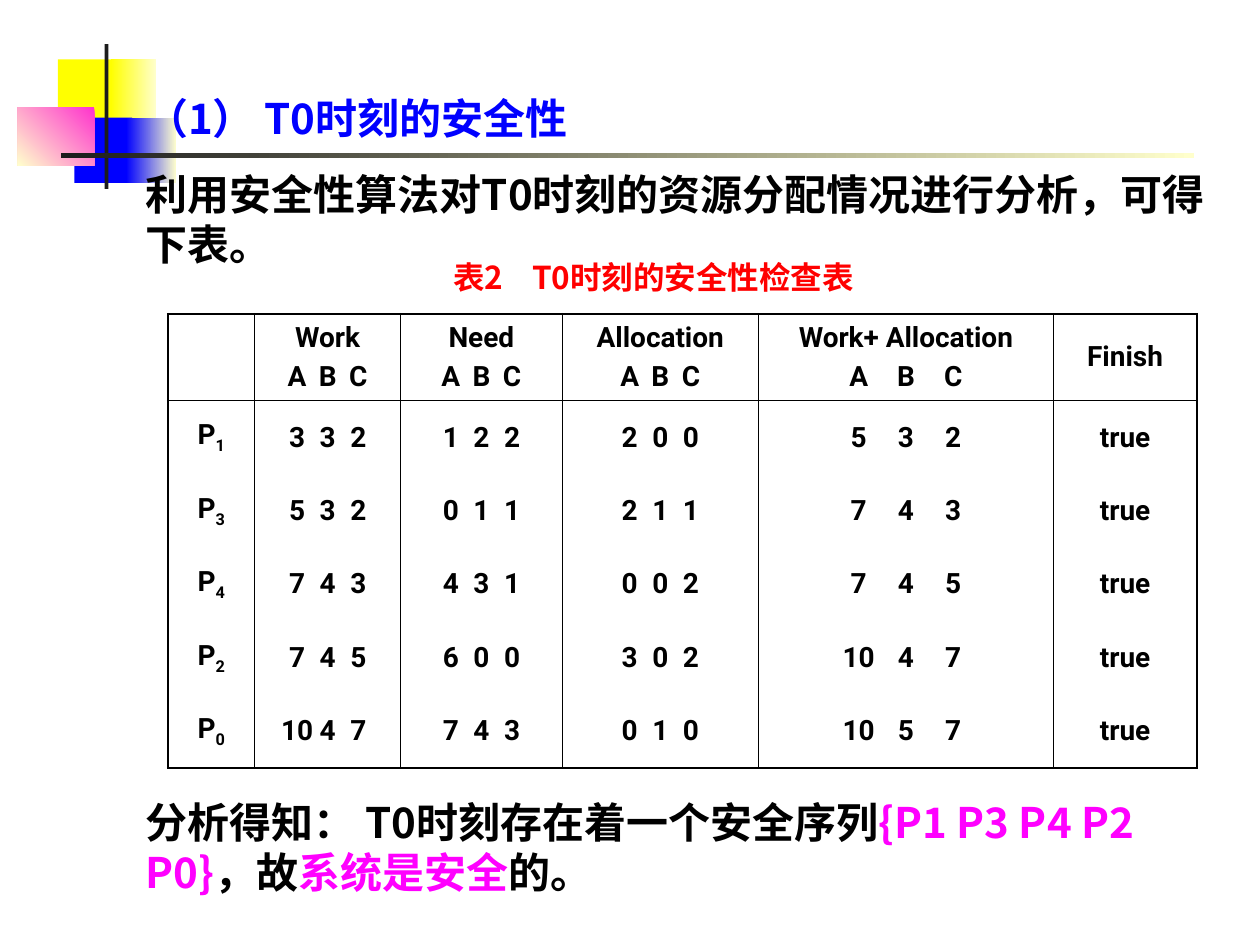
from lxml.etree import SubElement
from pptx import Presentation
from pptx.dml.color import RGBColor
from pptx.enum.shapes import MSO_SHAPE
from pptx.enum.text import MSO_ANCHOR, PP_ALIGN
from pptx.oxml.ns import qn
from pptx.util import Pt

HEX = {
    "black": "000000", "blue": "0000FF", "red": "FF0000", "pink": "FF00FF",
    "yellow": "FFFF00", "cream": "FFFFCC", "rose": "FF33CC", "ink": "1C1C1C",
}
HAN = "Noto Sans CJK SC"
LATIN = "Roboto"
THIN, THICK = 0.45, 1.08

DECOR = [
    (23.1, 8.8, 34.6, 37.4, "yellow"),
    (53.4, 8.8, 25.9, 37.4, ("cream", "yellow", 180)),
    (32.5, 42, 33.1, 37.4, "blue"),
    (62, 42, 28.8, 37.4, ("cream", "blue", 180)),
    (0, 36.2, 43.9, 33.1, ("rose", "cream", 225)),
    (49.8, 0, 2.2, 82.8, "ink"),
    (24.6, 62.1, 648, 2.9, ("cream", "ink", 180)),
]
WIDTHS = [49.7, 83.5, 92.2, 112.3, 168.5, 82]
PITCH = [0, 17.5, 17.5, 17.5, 27, 0]
HEADS = ["", "Work", "Need", "Allocation", "Work+ Allocation", "Finish"]
STEPS = [
    ("1", "3 3 2", "1 2 2", "2 0 0", "5 3 2"),
    ("3", "5 3 2", "0 1 1", "2 1 1", "7 4 3"),
    ("4", "7 4 3", "4 3 1", "0 0 2", "7 4 5"),
    ("2", "7 4 5", "6 0 0", "3 0 2", "10 4 7"),
    ("0", "10 4 7", "7 4 3", "0 1 0", "10 5 7"),
]


def color(name):
    return RGBColor.from_string(HEX[name])


def add_tabs(para, stops, align):
    tabs = SubElement(para._p.get_or_add_pPr(), qn("a:tabLst"))
    for stop in stops:
        SubElement(tabs, qn("a:tab"), pos=str(int(Pt(stop))), algn=align)


def set_font(para, face, size, tint=None):
    font = para.font
    font.name, font.size, font.bold = face, Pt(size), True
    if tint:
        font.color.rgb = color(tint)
    SubElement(font._element, qn("a:ea"), typeface=face)


def draw_decor(slide, left, top):
    for x, y, w, h, paint in DECOR:
        part = slide.shapes.add_shape(
            MSO_SHAPE.RECTANGLE, Pt(left + x), Pt(top + y), Pt(w), Pt(h))
        part.shadow.inherit = False
        part.line.fill.background()
        if isinstance(paint, str):
            part.fill.solid()
            part.fill.fore_color.rgb = color(paint)
        else:
            start, end, angle = paint
            part.fill.gradient()
            part.fill.gradient_angle = angle
            for stop, name in zip(part.fill.gradient_stops, (start, end)):
                stop.color.rgb = color(name)


def fill_text(shape, runs, size, stops=()):
    frame = shape.text_frame
    frame.word_wrap = True
    frame.vertical_anchor = MSO_ANCHOR.TOP
    para = frame.paragraphs[0]
    para.alignment = PP_ALIGN.LEFT
    para.line_spacing = Pt(size * 1.2)
    para.space_before = Pt(0)
    if stops:
        add_tabs(para, stops, "l")
    tints = {tint for _, tint in runs}
    set_font(para, HAN, size, runs[0][1] if len(tints) == 1 else None)
    for text, tint in runs:
        run = para.add_run()
        run.text = text
        if len(tints) > 1:
            run.font.color.rgb = color(tint)


def add_title(slide, left, top, width, height):
    title = slide.shapes.title
    title.left, title.top = Pt(left), Pt(top)
    title.width, title.height = Pt(width), Pt(height)
    slide.shapes._spTree.append(title._element)
    fill_text(title, [("（1） T0时刻的安全性", "blue")], 24)


def add_text(slide, left, top, width, height, runs, size=24, stops=()):
    box = slide.shapes.add_textbox(Pt(left), Pt(top), Pt(width), Pt(height))
    fill_text(box, runs, size, stops)


def set_edges(cell, sides):
    props = cell._tc.get_or_add_tcPr()
    for side, width in zip("LRTB", sides):
        line = SubElement(props, qn("a:ln" + side), w=str(int(Pt(width))))
        if width:
            fill = SubElement(line, qn("a:solidFill"))
            SubElement(fill, qn("a:srgbClr"), val=HEX["black"])
        else:
            SubElement(line, qn("a:noFill"))
    cell.fill.background()


def add_line(para, text, col):
    para.space_before = Pt(0)
    if PITCH[col] and " " in text and text not in HEADS:
        mid = (WIDTHS[col] - 14.4) / 2
        add_tabs(para, [mid + PITCH[col] * k for k in (-1, 0, 1)], "ctr")
        text = "".join("\t" + item for item in text.split())
        para.alignment = PP_ALIGN.LEFT
    else:
        para.alignment = PP_ALIGN.CENTER
    set_font(para, LATIN, 16, "black")
    para.add_run().text = text


def fill_cell(cell, row, col):
    first = cell.text_frame.paragraphs[0]
    if row == 0:
        add_line(first, HEADS[col], col)
        if PITCH[col]:
            second = cell.text_frame.add_paragraph()
            add_line(second, "A B C", col)
            second.space_before = Pt(4)
    elif col == 0:
        add_line(first, "P", col)
        sub = first.add_run()
        sub.text = STEPS[row - 1][0]
        sub.font._element.set("baseline", "-25000")
    else:
        add_line(first, (*STEPS[row - 1], "true")[col], col)


def add_grid(slide, left, top, width, height):
    rows, cols = len(STEPS) + 1, len(WIDTHS)
    table = slide.shapes.add_table(
        rows, cols, Pt(left), Pt(top), Pt(width), Pt(height)).table
    table.first_row = table.horz_banding = False
    head = 49.7
    for col, wide in enumerate(WIDTHS):
        table.columns[col].width = Pt(wide)
    for row in range(rows):
        table.rows[row].height = Pt((height - head) / len(STEPS) if row else head)
        for col in range(cols):
            cell = table.cell(row, col)
            cell.vertical_anchor = MSO_ANCHOR.MIDDLE
            set_edges(cell, (
                THICK if col == 0 else THIN,
                THICK if col == cols - 1 else THIN,
                {0: THICK, 1: THIN}.get(row, 0),
                {0: THIN, rows - 1: THICK}.get(row, 0)))
            fill_cell(cell, row, col)


def main():
    deck = Presentation()
    deck.slide_width, deck.slide_height = Pt(720), Pt(540)
    slide = deck.slides.add_slide(deck.slide_layouts[5])
    draw_decor(slide, 10, 25.2)
    add_grid(slide, 95.8, 179.3, sum(WIDTHS), 259.7)
    add_title(slide, 76.3, 49, 623.5, 36)
    add_text(slide, 76.3, 92.8, 623.5, 64.8, [
        ("利用安全性算法对T0时刻的资源分配情况进行分析，可得下表。", "black")])
    add_text(slide, 76.3, 451.4, 604.8, 64.8, [
        ("分析得知： T0时刻存在着一个安全序列", "black"),
        ("{P1 P3 P4 P2 P0}", "pink"),
        ("，故", "black"),
        ("系统是安全", "pink"),
        ("的。", "black")])
    add_text(slide, 252, 144, 282.2, 28.8,
             [("表2\tT0时刻的安全性检查表", "red")], 18, [45])
    deck.save("out.pptx")


if __name__ == "__main__":
    main()
